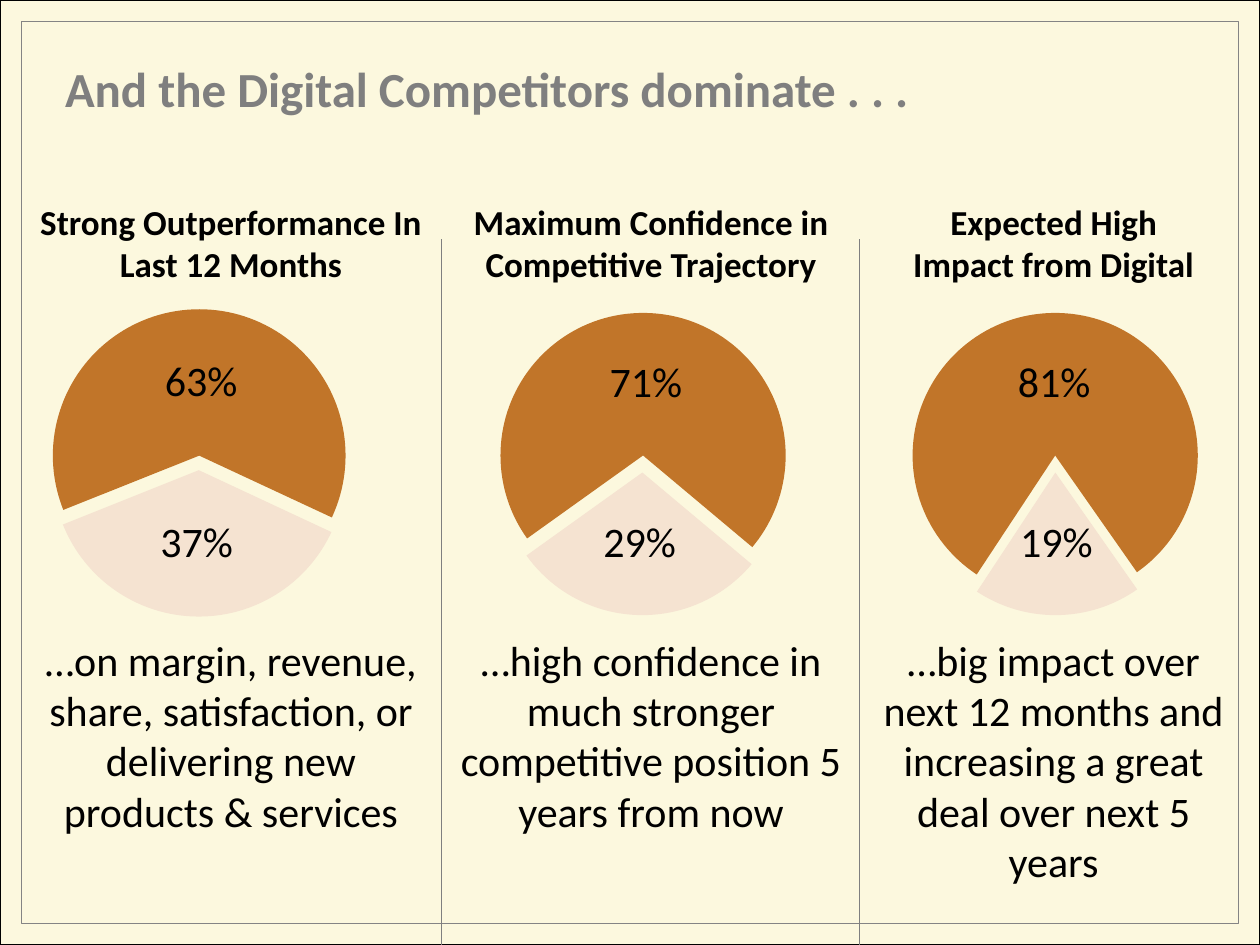
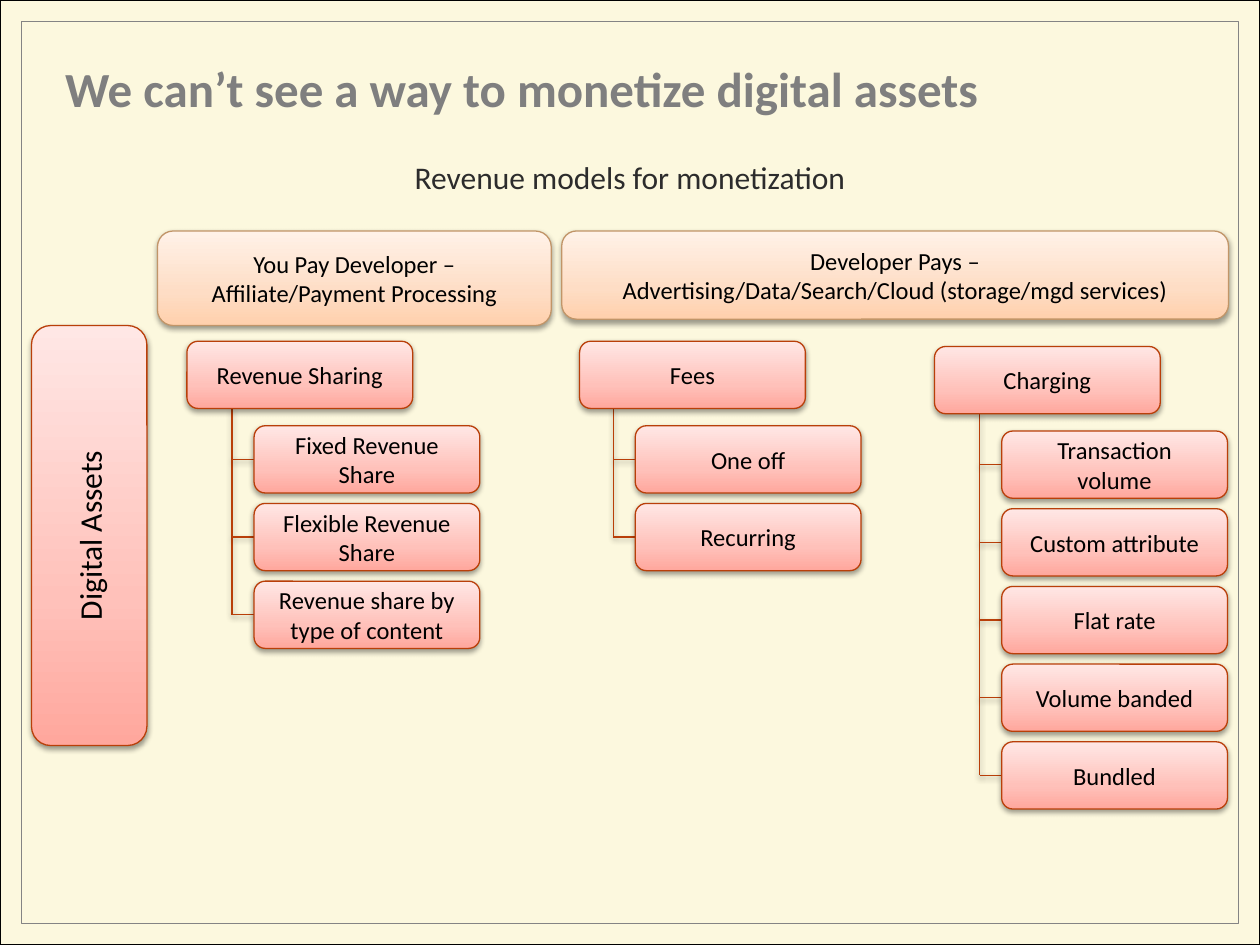
from dataclasses import dataclass

from lxml.etree import SubElement
from pptx import Presentation
from pptx.chart.data import CategoryChartData
from pptx.dml.color import RGBColor
from pptx.enum.chart import XL_CHART_TYPE, XL_LABEL_POSITION
from pptx.enum.shapes import MSO_CONNECTOR, MSO_SHAPE
from pptx.enum.text import MSO_ANCHOR, MSO_AUTO_SIZE, PP_ALIGN
from pptx.oxml import parse_xml
from pptx.oxml.ns import nsdecls, qn
from pptx.util import Emu, Inches, Pt


@dataclass(frozen=True)
class Theme:
    font: str = "Calibri"
    # Colours
    paper: str = "FCF8DE"
    edge: str = "000000"
    frame: str = "848484"
    headline: str = "7F7F7F"
    subtitle: str = "2C2C2C"
    text: str = "000000"
    divider: str = "7F7F7F"
    majority: str = "C17529"
    minority: str = "F5E3D1"
    # Box styles: line colour, then gradient stops from bottom to top
    model: tuple = ("B93F09", ("FFA79D", "FFC1BA", "FFE7E5"))
    payer: tuple = ("C19568", ("FFD0AC", "FEDDC5", "FFF2E8"))
    # Type sizes
    headline_size: int = 28
    body_size: int = 24
    heading_size: int = 20
    subtitle_size: int = 18
    box_size: int = 14


THEME = Theme()

# The grid has 120 columns and 90 rows of square cells
COLUMNS, ROWS = 120, 90
CELL = Inches(10) // COLUMNS

# Revenue model trees, in cells
BOX_WIDTH, BOX_HEIGHT = 21.5, 6.4
FIRST_CHILD_DROP, CHILD_STEP, BRANCH_LENGTH = 8.05, 7.4, 2.1


def cells(*counts):
    return [Emu(round(count * CELL)) for count in counts]


def color(value):
    return RGBColor.from_string(value)


def write(shape, text, *, size, fill=THEME.text, bold=False,
          align=PP_ALIGN.CENTER, anchor=MSO_ANCHOR.TOP, side_margin=0.1):
    """Fill a shape with text, one paragraph to a line."""
    frame = shape.text_frame
    frame.text = text
    frame.word_wrap = True
    frame.auto_size = MSO_AUTO_SIZE.NONE
    frame.vertical_anchor = anchor
    frame.margin_left = frame.margin_right = Inches(side_margin)
    for paragraph in frame.paragraphs:
        paragraph.alignment = align
        font = paragraph.font
        font.name, font.size, font.bold = THEME.font, Pt(size), bold
        font.color.rgb = color(fill)


def add_text(slide, area, text, **style):
    write(slide.shapes.add_textbox(*cells(*area)), text, **style)


def add_effects(shape, shadow=False):
    """Give a shape the soft shadow below it, or none at all."""
    drop = ('<a:outerShdw blurRad="40000" dist="20000" dir="5400000" rotWithShape="0">'
            '<a:srgbClr val="000000"><a:alpha val="38000"/></a:srgbClr>'
            '</a:outerShdw>') if shadow else ""
    shape.element.spPr.append(parse_xml(
        f'<a:effectLst {nsdecls("a")}>{drop}</a:effectLst>'))


def add_line(slide, start, end, line_color, width, shadow=False):
    line = slide.shapes.add_connector(MSO_CONNECTOR.STRAIGHT, *cells(*start, *end))
    line.line.color.rgb = color(line_color)
    line.line.width = Pt(width)
    add_effects(line, shadow)


def add_box(slide, area, text, style=THEME.model, size=THEME.box_size):
    """Rounded box with a vertical gradient and a shadow."""
    line_color, stops = style
    box = slide.shapes.add_shape(MSO_SHAPE.ROUNDED_RECTANGLE, *cells(*area))
    box.line.color.rgb = color(line_color)
    box.line.width = Pt(0.75)
    stop_list = "".join(
        f'<a:gs pos="{share * 1000}"><a:srgbClr val="{stop}"/></a:gs>'
        for share, stop in zip((0, 35, 100), stops))
    box.element.spPr.find(qn("a:prstGeom")).addnext(parse_xml(
        f'<a:gradFill rotWithShape="1" {nsdecls("a")}><a:gsLst>{stop_list}</a:gsLst>'
        '<a:lin ang="16200000" scaled="0"/></a:gradFill>'))
    add_effects(box, shadow=True)
    write(box, text, size=size, anchor=MSO_ANCHOR.MIDDLE, side_margin=0.11)
    return box


def add_tree(slide, left, top, indent, parent, children):
    """Parent box with its children hung from a trunk line."""
    style = THEME.model
    child_left = left + indent
    trunk = child_left - BRANCH_LENGTH
    tops = [top + FIRST_CHILD_DROP + row * CHILD_STEP for row in range(len(children))]
    line_style = dict(line_color=style[0], width=0.75, shadow=True)
    add_line(slide, (trunk, top + BOX_HEIGHT), (trunk, tops[-1] + BOX_HEIGHT / 2),
             **line_style)
    add_box(slide, (left, top, BOX_WIDTH, BOX_HEIGHT), parent)
    for child, child_top in zip(children, tops):
        middle = child_top + BOX_HEIGHT / 2
        add_line(slide, (trunk, middle), (child_left, middle), **line_style)
        add_box(slide, (child_left, child_top, BOX_WIDTH, BOX_HEIGHT), child)


def add_pie(slide, area, share, start_angle, explosion, plot_area):
    """Two-slice pie; share is the dark majority slice."""
    data = CategoryChartData(number_format="0%")
    data.categories = ["1", "2"]
    data.add_series("Series 1", (round(1 - share, 2), share))
    chart = slide.shapes.add_chart(XL_CHART_TYPE.PIE, *cells(*area), data).chart
    chart.has_title = chart.has_legend = False
    chart.font.name, chart.font.size = THEME.font, Pt(THEME.body_size)
    chart.font.color.rgb = color(THEME.text)

    # Slices and labels
    plot = chart.plots[0]
    plot.vary_by_categories = False
    series = plot.series[0]
    for index, slice_color in enumerate((THEME.minority, THEME.majority)):
        fill = series.points[index].format.fill
        fill.solid()
        fill.fore_color.rgb = color(slice_color)
    labels = series.data_labels
    labels.show_value = True
    labels.number_format, labels.number_format_is_linked = "0%", False
    labels.position = XL_LABEL_POSITION.CENTER
    labels.font.name, labels.font.size = THEME.font, Pt(THEME.body_size)
    labels.font.color.rgb = color(THEME.text)

    # Gap between slices, turn of the pie and its place in the frame
    chart_ns = nsdecls("c")
    pie = chart.element.find(".//" + qn("c:pieChart"))
    pie.find(".//" + qn("c:dPt")).addprevious(
        parse_xml(f'<c:explosion {chart_ns} val="{explosion}"/>'))
    for old_angle in pie.findall(qn("c:firstSliceAng")):
        pie.remove(old_angle)
    SubElement(pie, qn("c:firstSliceAng")).set("val", str(start_angle))
    plot_box = pie.getparent()
    for old_layout in plot_box.findall(qn("c:layout")):
        plot_box.remove(old_layout)
    settings = [("layoutTarget", "inner"), ("xMode", "edge"), ("yMode", "edge"),
                *zip("xywh", plot_area)]
    entries = "".join(f'<c:{key} val="{value}"/>' for key, value in settings)
    plot_box.insert(0, parse_xml(
        f'<c:layout {chart_ns}><c:manualLayout>{entries}</c:manualLayout></c:layout>'))


def add_slide(deck, headline):
    slide = deck.slides.add_slide(deck.slide_layouts[5])
    title = slide.shapes.title
    title.left, title.top, title.width, title.height = cells(5, 5, 108, 6.8)
    write(title, headline, size=THEME.headline_size, fill=THEME.headline,
          bold=True, align=PP_ALIGN.LEFT)
    return slide


def decorate_master(deck, slide):
    """Put paper colour, edge and inner frame on the shared master."""
    master = deck.slide_master
    master.background.fill.solid()
    master.background.fill.fore_color.rgb = color(THEME.paper)
    borders = [((0, 0, COLUMNS, ROWS), THEME.edge, 0.75),
               ((2, 2, COLUMNS - 4, ROWS - 4), THEME.frame, 0.5)]
    for position, (area, line_color, width) in enumerate(borders, start=2):
        border = slide.shapes.add_shape(MSO_SHAPE.RECTANGLE, *cells(*area))
        border.shadow.inherit = False
        border.fill.background()
        border.line.color.rgb = color(line_color)
        border.line.width = Pt(width)
        master.element.cSld.spTree.insert(position, border.element)


def build_competitors(slide):
    # Column left and width, heading, comment, then the pie
    findings = [
        (2, 40, "Strong Outperformance In Last 12 Months",
         "…on margin, revenue, share, satisfaction, or delivering new products & services",
         ((0, 29.4, 48, 30), 0.63, 115, 5, (0.09, 0, 0.61, 0.98))),
        (42.5, 39, "Maximum Confidence in\nCompetitive Trajectory",
         "…high confidence in much stronger competitive position 5 years from now",
         ((36.5, 29.8, 48, 30), 0.71, 130, 6, (0.17, 0, 0.69, 0.96))),
        (81.6, 37.5, "Expected High\nImpact from Digital",
         "…big impact over\nnext 12 months and increasing a great deal over next 5 years",
         ((76, 29.8, 41.9, 30), 0.81, 145, 6, (0.24, 0, 0.69, 0.96))),
    ]
    for left, width, heading, comment, pie in findings:
        add_text(slide, (left, 18.5, width, 9.3), heading,
                 size=THEME.heading_size, bold=True)
        add_pie(slide, *pie)
        add_text(slide, (left, 59.8, width, 25.4), comment, size=THEME.body_size)
    for divider in (42, 81.8):
        add_line(slide, (divider, 22.8), (divider, ROWS), THEME.divider, 0.25)


def build_revenue_models(slide):
    add_text(slide, (25, 14, 70, 5.8), "Revenue models for monetization",
             size=THEME.subtitle_size, fill=THEME.subtitle, anchor=MSO_ANCHOR.MIDDLE)

    # Who pays
    add_box(slide, (15, 22, 37.5, 9),
            "You Pay Developer –\nAffiliate/Payment Processing", THEME.payer)
    add_box(slide, (53.5, 22, 63.5, 8.4),
            "Developer Pays –\nAdvertising/Data/Search/Cloud (storage/mgd services)",
            THEME.payer)

    # What is sold
    assets = add_box(slide, (3, 31, 11, 40), "Digital Assets", size=THEME.subtitle_size)
    assets.text_frame._txBody.bodyPr.set("vert", "vert270")

    # How it is paid for
    add_tree(slide, 17.8, 32.5, 6.4, "Revenue Sharing",
             ["Fixed Revenue Share", "Flexible Revenue Share",
              "Revenue share by type of content"])
    add_tree(slide, 55.2, 32.5, 5.3, "Fees", ["One off", "Recurring"])
    add_tree(slide, 89, 33, 6.4, "Charging",
             ["Transaction volume", "Custom attribute", "Flat rate",
              "Volume banded", "Bundled"])


def main():
    deck = Presentation()
    deck.slide_width, deck.slide_height = cells(COLUMNS, ROWS)
    competitors = add_slide(deck, "And the Digital Competitors dominate . . .")
    decorate_master(deck, competitors)
    build_competitors(competitors)
    build_revenue_models(add_slide(deck, "We can’t see a way to monetize digital assets"))
    deck.save("out.pptx")


if __name__ == "__main__":
    main()
